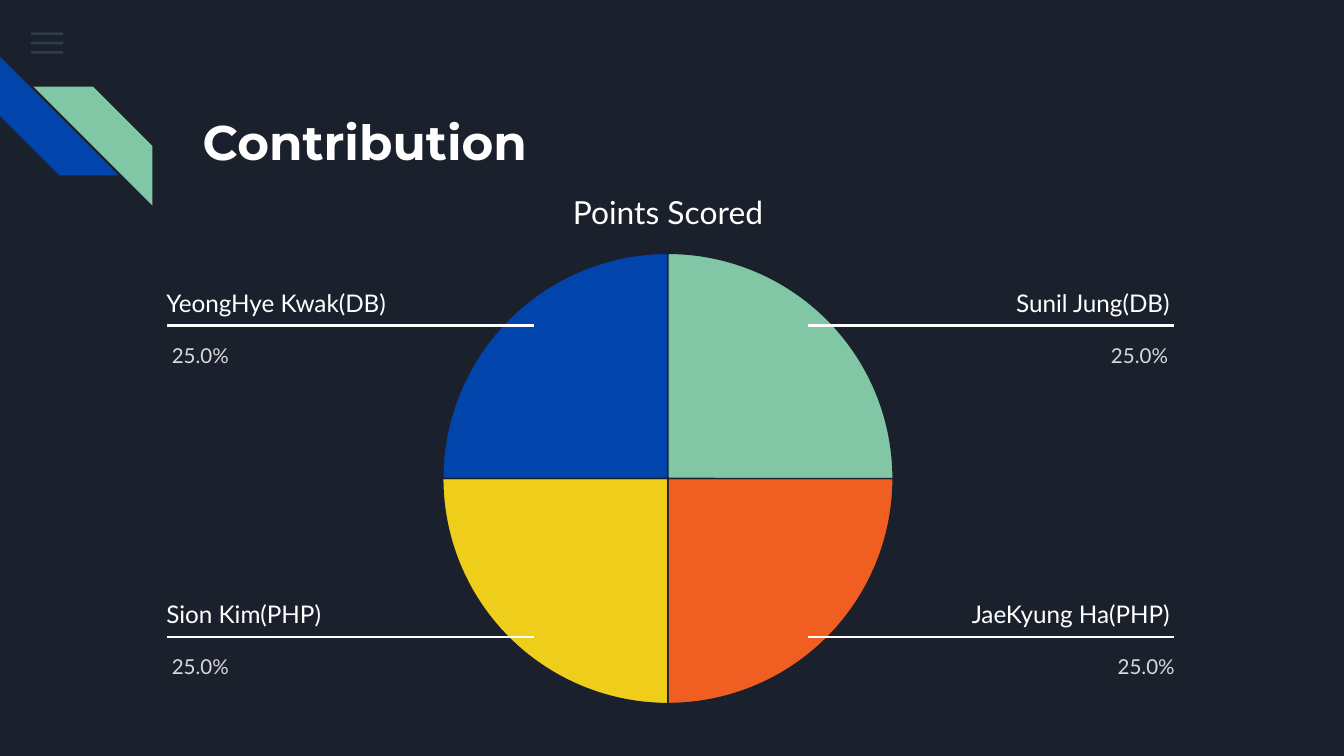
from lxml import etree
from pptx import Presentation
from pptx.dml.color import RGBColor as RGB
from pptx.enum.shapes import MSO_CONNECTOR as LINE, MSO_SHAPE as SHAPE
from pptx.enum.text import MSO_ANCHOR as ANCHOR, PP_ALIGN as ALIGN
from pptx.oxml.ns import qn
from pptx.util import Inches, Pt

COLORS = {
    "background": "1B212C", "menu": "55688B", "white": "FFFFFF", "grey": "D9D9D9",
    "blue": "0145AC", "green": "82C7A5", "orange": "F15E22", "yellow": "EECE1A",
}

prs = Presentation()
prs.slide_width = Inches(10)
prs.slide_height = prs.slide_width * 9 // 16
CELL = prs.slide_width // 100  # square grid cell, 100 columns across the slide
slide = prs.slides.add_slide(prs.slide_layouts[6])
slide.background.fill.solid()
slide.background.fill.fore_color.rgb = RGB.from_string(COLORS["background"])


def add_shape(kind, col, row, cols, rows, color):
    """Add a filled preset shape without outline, placed in grid cells."""
    s = slide.shapes.add_shape(kind, *(round(n * CELL) for n in (col, row, cols, rows)))
    s.shadow.inherit = False
    s.fill.solid()
    s.fill.fore_color.rgb = RGB.from_string(COLORS[color])
    s.line.fill.background()
    return s


def add_text(text, col, row, cols, rows, size, color="white", font="Lato", bold=False,
             anchor=ANCHOR.MIDDLE, **paragraph_format):
    """Add a one-paragraph text box, placed in grid cells."""
    sp = slide.shapes.add_textbox(*(round(n * CELL) for n in (col, row, cols, rows)))
    tf = sp.text_frame
    margins = dict.fromkeys(("margin_left", "margin_top", "margin_right", "margin_bottom"), CELL)
    for name, value in {**margins, "word_wrap": True, "vertical_anchor": anchor}.items():
        setattr(tf, name, value)
    p = tf.paragraphs[0]
    for name, value in paragraph_format.items():
        setattr(p, name, value)
    r = p.add_run()
    r.text = text
    for name, value in {"size": Pt(size), "name": font, "bold": bold}.items():
        setattr(r.font, name, value)
    r.font.color.rgb = RGB.from_string(COLORS[color])


# Menu icon
for i in range(3):
    s = add_shape(SHAPE.RECTANGLE, 2.3, 2.4 + 0.7 * i, 2.4, 0.2, "menu")
    rgb = s.fill._xPr.find(f"{qn('a:solidFill')}/{qn('a:srgbClr')}")
    etree.SubElement(rgb, qn("a:alpha")).set("val", "36000")

# Corner stripes
blue_stripe = add_shape(SHAPE.DIAGONAL_STRIPE, 0, 4.2, 8.85, 8.85, "blue")
blue_stripe.rotation = 270
green_stripe = add_shape(SHAPE.DIAGONAL_STRIPE, 2.5, 6.45, 8.85, 8.85, "green")
green_stripe._element.spPr.find(qn("a:xfrm")).set("flipH", "1")

add_text("Contribution", 14.1, 7.3, 77, 6.5, 26, font="Montserrat", bold=True, anchor=ANCHOR.TOP)
add_text("Points Scored", 40.6, 13.8, 18.2, 4, 17, alignment=ALIGN.CENTER)

# Pie quarters, clockwise from three o'clock
QUARTER = 54  # 90 degrees in adjustment units
for i, color in enumerate(("orange", "yellow", "blue", "green")):
    s = add_shape(SHAPE.PIE, 32.95, 18.85, 33.5, 33.5, color)
    s.adjustments[0] = i * QUARTER
    s.adjustments[1] = (i + 1) % 4 * QUARTER
    s.line.color.rgb = RGB.from_string(COLORS["background"])
    s.line.width = Pt(0.75)

# Callouts: name above a line, share below it
LABEL_ROWS = 3.5
SIDES = {
    "left": {"line": (39.7, 12.4), "name": 11.4, "share_cols": 8.5, "align": ALIGN.LEFT},
    "right": {"line": (87.35, 60.1), "name": 70.6, "share_cols": 7, "align": ALIGN.RIGHT},
}
TOP, BOTTOM = 24.25, 47.4
for name, row, side, name_cols, share_col in (
    ("YeongHye Kwak(DB)", TOP, "left", 19.5, 11.8),
    ("Sion Kim(PHP)", BOTTOM, "left", 17.4, 11.8),
    ("Sunil Jung(DB)", TOP, "right", 17.4, 80.9),
    ("JaeKyung Ha(PHP)", BOTTOM, "right", 17.4, 81.4),
):
    place = SIDES[side]
    start, end = place["line"]
    line = slide.shapes.add_connector(LINE.STRAIGHT, *(round(n * CELL) for n in (start, row, end, row)))
    line.line.color.rgb = RGB.from_string(COLORS["white"])
    line.line.width = Pt(1.5)
    etree.SubElement(line._element.spPr, qn("a:effectLst"))
    add_text(name, place["name"], row - LABEL_ROWS, name_cols, LABEL_ROWS, 13, alignment=place["align"])
    add_text("25.0%", share_col, row, place["share_cols"], LABEL_ROWS, 11, "grey", anchor=ANCHOR.TOP,
             alignment=place["align"], line_spacing=1.15, space_after=Pt(16))

prs.save("out.pptx")
